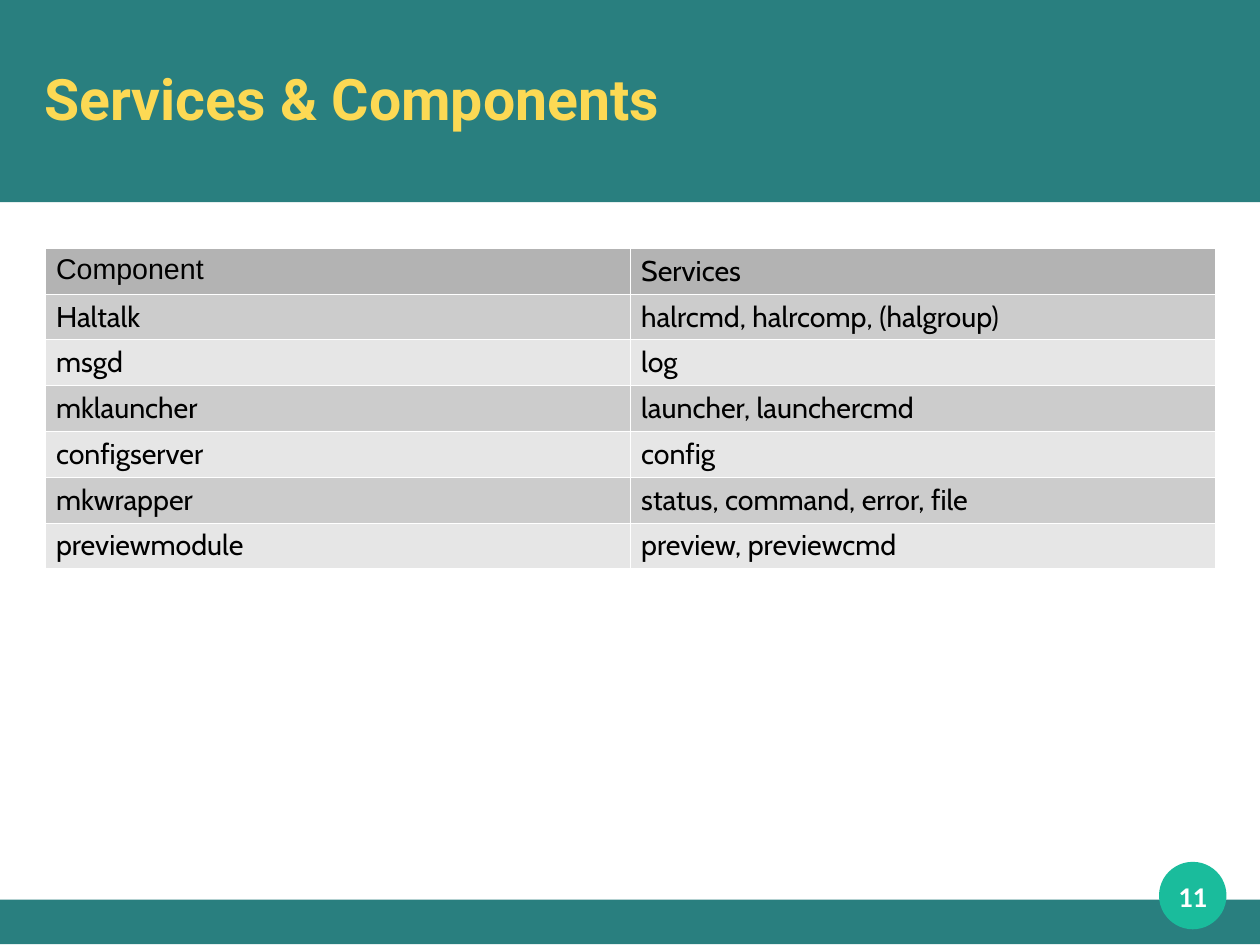
from lxml import etree
from pptx import Presentation
from pptx import util as u
from pptx.dml.color import RGBColor
from pptx.enum import shapes, text
from pptx.oxml import ns

TEAL, MINT, YELLOW = "297F7F", "1ABC9C", "FCD954"
WHITE, BLACK = "FFFFFF", "000000"
HEADER_GREY, BAND_GREYS = "B3B3B3", ("CCCCCC", "E6E6E6")
# The page is 28 by 21 cm
SLIDE_WIDTH, SLIDE_HEIGHT = 28 / 2.54, 21 / 2.54
MARGIN, CONTENT_WIDTH = 0.39, 10.24
TABLE_HEIGHT = 2.69
BORDER_WIDTH = u.Pt(0.06)

SERVICES = [
    ("Component", "Services"),
    ("Haltalk", "halrcmd, halrcomp, (halgroup)"),
    ("msgd", "log"),
    ("mklauncher", "launcher, launchercmd"),
    ("configserver", "config"),
    ("mkwrapper", "status, command, error, file"),
    ("previewmodule", "preview, previewcmd"),
]


def set_fill(fill, color):
    fill.solid()
    fill.fore_color.rgb = RGBColor.from_string(color)


def write_text(frame, content, color, **font_format):
    paragraph = frame.paragraphs[0]
    run = paragraph.add_run()
    run.text = content
    run.font.color.rgb = RGBColor.from_string(color)
    for name, value in font_format.items():
        setattr(run.font, name, value)
    return paragraph


def add_block(slide, kind, box, color):
    shape = slide.shapes.add_shape(kind, *map(u.Inches, box))
    shape.shadow.inherit = False
    set_fill(shape.fill, color)
    shape.line.fill.background()


def add_label(slide, box, content, color, alignment, **font_format):
    frame = slide.shapes.add_textbox(*map(u.Inches, box)).text_frame
    frame_format = {
        "word_wrap": True,
        "vertical_anchor": text.MSO_ANCHOR.MIDDLE,
        "margin_left": 0, "margin_right": 0,
        "margin_top": 0, "margin_bottom": 0,
    }
    for name, value in frame_format.items():
        setattr(frame, name, value)
    paragraph = write_text(frame, content, color, bold=True, **font_format)
    paragraph.alignment = alignment


def add_cell_borders(cell, color):
    properties = cell._tc.get_or_add_tcPr()
    for side in ("a:lnL", "a:lnR", "a:lnT", "a:lnB"):
        line = etree.SubElement(properties, ns.qn(side), w=str(BORDER_WIDTH))
        solid = etree.SubElement(line, ns.qn("a:solidFill"))
        etree.SubElement(solid, ns.qn("a:srgbClr"), val=color)


def add_services_table(slide, box):
    # Rows share the height of the table equally
    table = slide.shapes.add_table(
        len(SERVICES), len(SERVICES[0]), *map(u.Inches, box)).table
    table.first_row = table.horz_banding = False
    for row_index, entries in enumerate(SERVICES):
        grey = BAND_GREYS[(row_index - 1) % 2] if row_index else HEADER_GREY
        for column_index, content in enumerate(entries):
            cell = table.cell(row_index, column_index)
            add_cell_borders(cell, WHITE)
            set_fill(cell.fill, grey)
            font_name = "Arial" if row_index == column_index == 0 else "Cabin"
            write_text(cell.text_frame, content, BLACK,
                       size=u.Pt(18), name=font_name)


def main():
    presentation = Presentation()
    presentation.slide_width = u.Inches(SLIDE_WIDTH)
    presentation.slide_height = u.Inches(SLIDE_HEIGHT)
    slide = presentation.slides.add_slide(presentation.slide_layouts[6])

    # Footer and header bands, page number disc
    rectangle, oval = shapes.MSO_SHAPE.RECTANGLE, shapes.MSO_SHAPE.OVAL
    add_block(slide, rectangle, (0, 7.87, SLIDE_WIDTH, 0.39), TEAL)
    add_block(slide, rectangle, (0, 0, SLIDE_WIDTH, 1.77), TEAL)
    add_block(slide, oval, (10.14, 7.54, 0.59, 0.59), MINT)

    # Title
    add_label(slide, (MARGIN, 0.33, CONTENT_WIDTH, 1.05),
              "Services & Components", YELLOW, text.PP_ALIGN.LEFT,
              size=u.Pt(36), name="Roboto")

    # Components and the services they offer
    add_services_table(slide, (MARGIN, 2.17, CONTENT_WIDTH, TABLE_HEIGHT))

    # Page number
    add_label(slide, (10.04, 7.44, 0.79, 0.79), "11", WHITE,
              text.PP_ALIGN.CENTER, size=u.Pt(18), name="Calibri")

    presentation.save("out.pptx")


if __name__ == "__main__":
    main()
